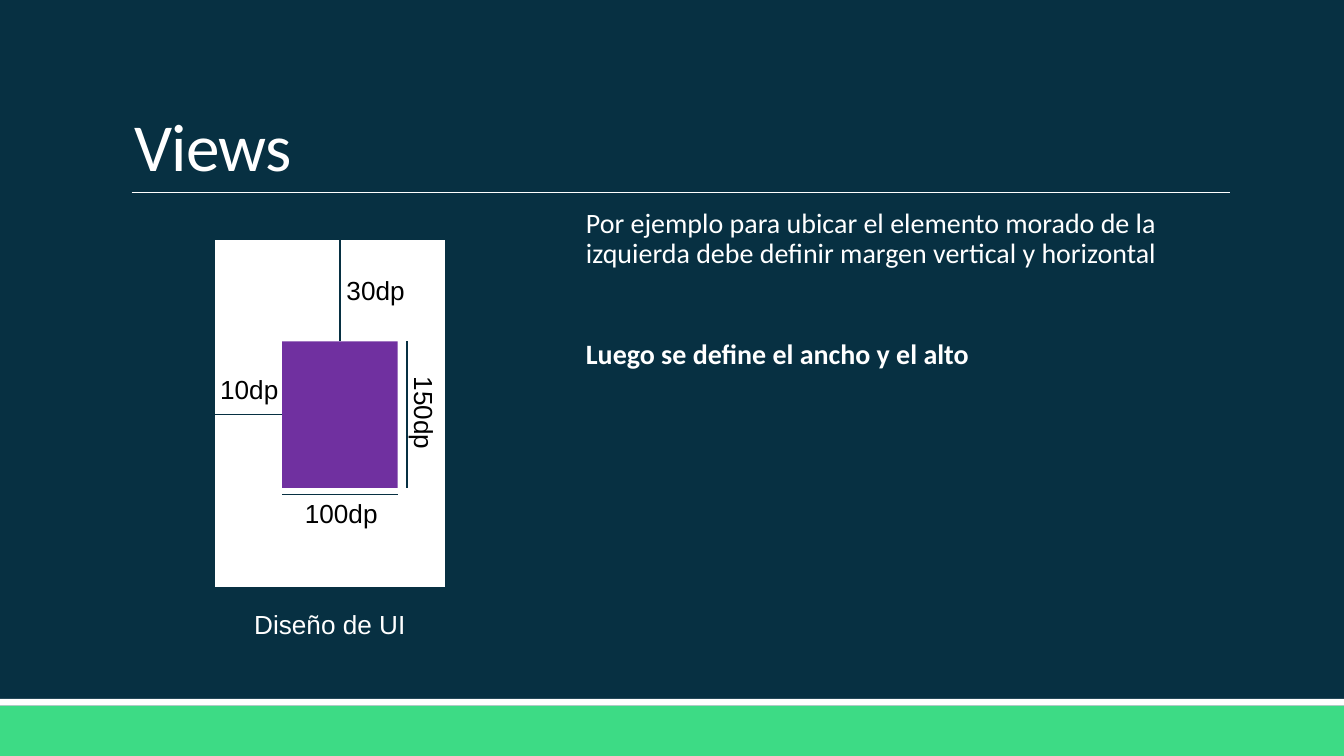
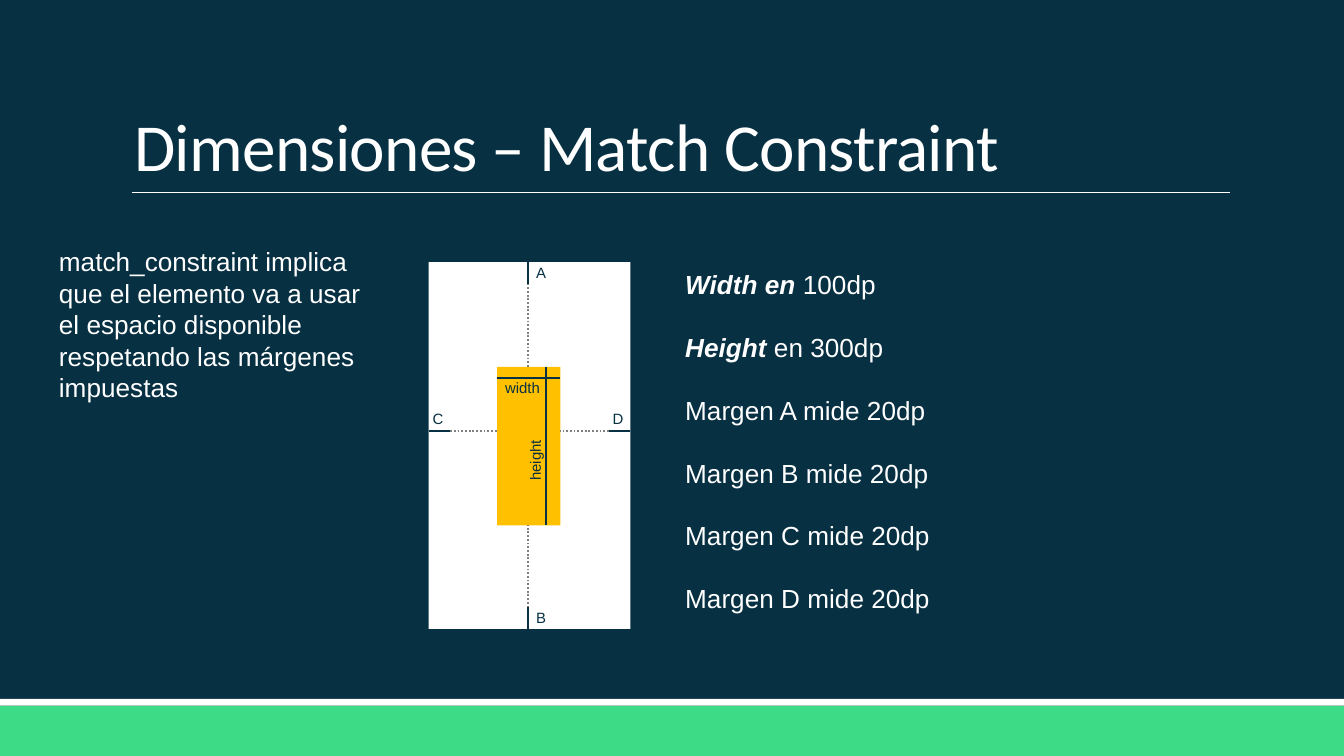
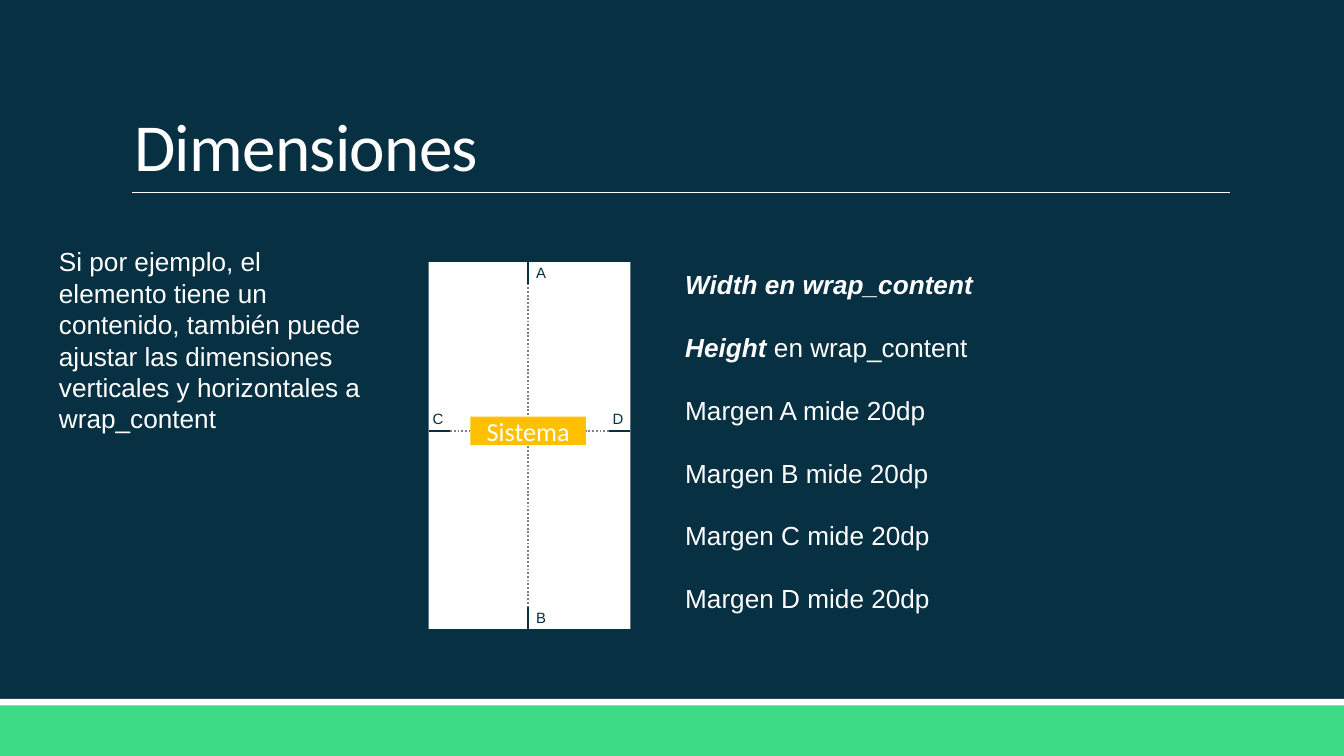
import pptx
import pptx.dml.color
import pptx.enum.dml
import pptx.enum.shapes
import pptx.enum.text
import pptx.oxml.ns
import pptx.util
from lxml import etree

WIDTH = 10
HEIGHT = WIDTH * 9 / 16
NAVY, GREEN, WHITE, BLACK = "073042", "3DDB85", "FFFFFF", "000000"
PURPLE, AMBER, GRAY = "7030A0", "FFC000", "808080"
LINE_PITCH = 16.8

VIEWS_TITLE = "Views"
VIEWS_TEXT = [
    ("Por ejemplo para ubicar el elemento morado de la izquierda debe definir "
     "margen vertical y horizontal", {}),
    ("Luego se define el ancho y el alto", {"bold": True, "before": 37.5}),
]
VIEWS_CAPTION = "Diseño de UI"
VIEWS_FRAME = (1.59, 1.78, 1.73, 2.6)
VIEWS_ELEMENT = (2.1, 2.54, 0.86, 1.09)
VIEWS_LABELS = [
    ("30dp", (2.48, 1.99), 0),
    ("10dp", (1.54, 2.73), 0),
    ("100dp", (2.17, 3.65), 0),
    ("150dp", (2.72, 2.97), 90),
]

MARGINS = [f"Margen {side} mide 20dp" for side in "ABCD"]
DIMENSIONS = [
    {
        "title": "Dimensiones – Match Constraint",
        "explanation": "match_constraint implica que el elemento va a usar el espacio "
                       "disponible respetando las márgenes impuestas",
        "measures": [("Width en ", "100dp"), ("Height", " en 300dp")],
        "element": (3.7, 2.73, 0.47, 1.18),
        "content": None,
    },
    {
        "title": "Dimensiones",
        "explanation": "Si por ejemplo, el elemento tiene un contenido, también puede ajustar "
                       "las dimensiones verticales y horizontales a wrap_content",
        "measures": [("Width en wrap_content", ""), ("Height", " en wrap_content")],
        "element": (3.5, 3.1, 0.86, 0.21),
        "content": "Sistema",
    },
]
SCREEN = (3.19, 1.95, 1.5, 2.73)
CENTER_X, CENTER_Y, TICK = 3.93, 3.21, 0.16
SIDE_LABELS = {"A": (3.89, 1.91), "B": (3.89, 4.48), "C": (3.12, 3), "D": (4.46, 3)}


def color(value):
    return pptx.dml.color.RGBColor.from_string(value)


def inches(values):
    return [pptx.util.Inches(value) for value in values]


def add_rectangle(slide, box, fill, outline=None):
    shape = slide.shapes.add_shape(pptx.enum.shapes.MSO_SHAPE.RECTANGLE, *inches(box))
    shape.shadow.inherit = False
    shape.fill.solid()
    shape.fill.fore_color.rgb = color(fill)
    if outline:
        shape.line.color.rgb = color(outline)
        shape.line.width = pptx.util.Pt(1.25)
    else:
        shape.line.fill.background()
    return shape


def add_line(slide, start, end, stroke=NAVY, width=1, dotted=False):
    line = slide.shapes.add_connector(
        pptx.enum.shapes.MSO_CONNECTOR.STRAIGHT, *inches(start + end))
    line.line.color.rgb = color(stroke)
    line.line.width = pptx.util.Pt(width)
    if dotted:
        line.line.dash_style = pptx.enum.dml.MSO_LINE.ROUND_DOT
    etree.SubElement(line._element.spPr, pptx.oxml.ns.qn("a:effectLst"))


def write(paragraph, text, size=14, font="Arial", ink=WHITE, bold=False, italic=False,
          align="LEFT", spacing=None, before=0, tracking=None):
    paragraph.alignment = getattr(pptx.enum.text.PP_ALIGN, align)
    paragraph.space_before = pptx.util.Pt(before)
    if spacing:
        paragraph.line_spacing = spacing
    run = paragraph.add_run()
    run.text = text
    run.font.size = pptx.util.Pt(size)
    run.font.name = font
    run.font.color.rgb = color(ink)
    run.font.bold = bold
    run.font.italic = italic
    if tracking:
        run._r.get_or_add_rPr().set("spc", str(round(tracking * 100)))


def add_frame(slide, box, wrap=True, rotation=0):
    shape = slide.shapes.add_textbox(*inches(box))
    shape.rotation = rotation
    shape.text_frame.word_wrap = wrap
    return shape.text_frame


def add_text(slide, box, text, wrap=True, rotation=0, **style):
    frame = add_frame(slide, box, wrap, rotation)
    write(frame.paragraphs[0], text, **style)
    return frame


def next_paragraph(frame, index):
    return frame.add_paragraph() if index else frame.paragraphs[0]


def add_base(presentation, title):
    slide = presentation.slides.add_slide(presentation.slide_layouts[6])
    slide.background.fill.solid()
    slide.background.fill.fore_color.rgb = color(NAVY)
    add_rectangle(slide, (0, 5.25, WIDTH, HEIGHT - 5.25), GREEN)
    add_rectangle(slide, (0, 5.2, WIDTH, 0.05), WHITE)
    add_line(slide, (0.98, 1.43), (9.15, 1.43), WHITE, 0.5)
    frame = add_text(slide, (0.9, 0.24, 8.25, 1.19), title, size=36, font="Calibri",
                     spacing=0.85, tracking=-0.4)
    frame.vertical_anchor = pptx.enum.text.MSO_ANCHOR.BOTTOM
    return slide


def add_views(presentation):
    slide = add_base(presentation, VIEWS_TITLE)
    body = add_frame(slide, (4.29, 1.51, 4.86, 3.3))
    body.margin_left, body.margin_right = inches((0.07, 0))
    for index, (text, style) in enumerate(VIEWS_TEXT):
        write(next_paragraph(body, index), text, size=15, font="Calibri", spacing=0.9, **style)

    add_rectangle(slide, VIEWS_FRAME, WHITE, NAVY)
    add_rectangle(slide, VIEWS_ELEMENT, PURPLE)
    add_text(slide, (1.21, 4.48, 2.49, 0.34), VIEWS_CAPTION, align="CENTER")
    left, top, width, height = VIEWS_ELEMENT
    right, bottom = left + width, top + height
    middle_x, middle_y = left + width / 2, top + height / 2
    add_line(slide, (middle_x, top), (middle_x, 1.7))
    add_line(slide, (left, middle_y), (VIEWS_FRAME[0], middle_y))
    add_line(slide, (left, bottom + 0.05), (right, bottom + 0.05))
    add_line(slide, (right + 0.07, top), (right + 0.07, bottom))
    for text, corner, rotation in VIEWS_LABELS:
        add_text(slide, corner + (0.87, 0.34), text, rotation=rotation, ink=BLACK)


def add_screen(slide, element, content):
    add_rectangle(slide, SCREEN, WHITE)
    shape = add_rectangle(slide, element, AMBER)
    if content:
        frame = shape.text_frame
        frame.vertical_anchor = pptx.enum.text.MSO_ANCHOR.MIDDLE
        write(frame.paragraphs[0], content, font="Calibri", align="CENTER")

    left, top, width, height = SCREEN
    inner_left, inner_top, inner_width, inner_height = element
    horizontal = [(left, 1, inner_left), (left + width, -1, inner_left + inner_width)]
    vertical = [(top, 1, inner_top), (top + height, -1, inner_top + inner_height)]
    for edge, direction, inner in horizontal:
        tick_end = (edge + direction * TICK, CENTER_Y)
        add_line(slide, (edge, CENTER_Y), tick_end)
        add_line(slide, tick_end, (inner, CENTER_Y), GRAY, dotted=True)
    for edge, direction, inner in vertical:
        tick_end = (CENTER_X, edge + direction * TICK)
        add_line(slide, (CENTER_X, edge), tick_end)
        add_line(slide, tick_end, (CENTER_X, inner), GRAY, dotted=True)
    for text, corner in SIDE_LABELS.items():
        add_text(slide, corner + (0.28, 0.24), text, wrap=False, size=8, ink=NAVY)


def add_measures(slide, element):
    left, top, width, height = element
    add_line(slide, (left, top + 0.08), (left + width, top + 0.08))
    add_line(slide, (left + 0.36, top), (left + 0.36, top + height))
    add_text(slide, (3.66, 2.77, 0.46, 0.24), "width", wrap=False, size=8, ink=NAVY)
    add_text(slide, (3.73, 3.3, 0.51, 0.24), "height", wrap=False, rotation=270,
             size=8, ink=NAVY)


def add_dimensions(presentation, page):
    slide = add_base(presentation, page["title"])
    pitch = pptx.util.Pt(LINE_PITCH)
    add_screen(slide, page["element"], page["content"])
    if not page["content"]:
        add_measures(slide, page["element"])
    add_text(slide, (0.34, 1.78, 2.51, 1.51), page["explanation"], spacing=pitch)
    listing = add_frame(slide, (5, 1.95, 4.33, 2.93))
    rows = page["measures"] + [("", margin) for margin in MARGINS]
    for index, (strong, plain) in enumerate(rows):
        paragraph = next_paragraph(listing, index)
        for text, marked in ((strong, True), (plain, False)):
            if text:
                write(paragraph, text, bold=marked, italic=marked, spacing=pitch,
                      before=LINE_PITCH if index else 0)


def main():
    presentation = pptx.Presentation()
    presentation.slide_width, presentation.slide_height = inches((WIDTH, HEIGHT))
    add_views(presentation)
    for page in DIMENSIONS:
        add_dimensions(presentation, page)
    presentation.save("out.pptx")


if __name__ == "__main__":
    main()
